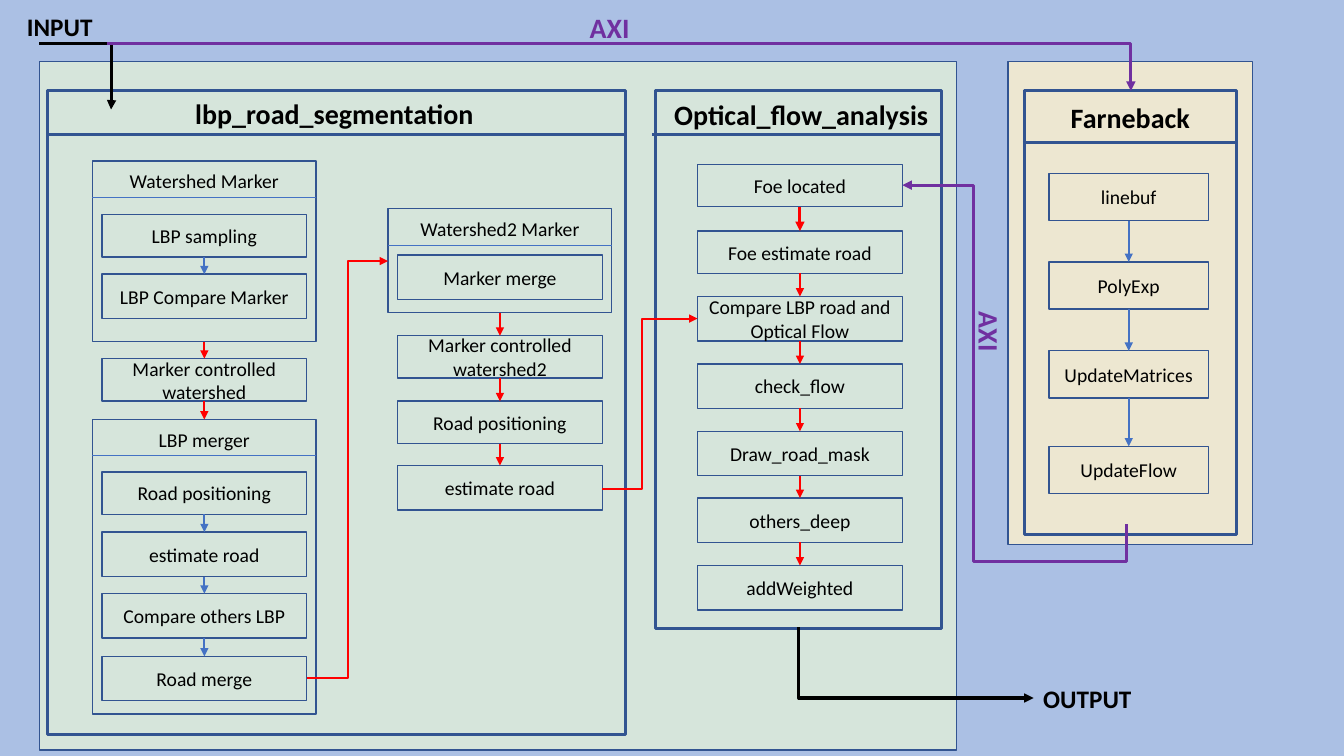
from dataclasses import dataclass
from lxml.etree import SubElement
from pptx import Presentation
from pptx.dml.color import RGBColor
from pptx.enum.shapes import MSO_CONNECTOR as Link, MSO_SHAPE
from pptx.enum.text import MSO_ANCHOR, MSO_AUTO_SIZE, PP_ALIGN
from pptx.oxml.ns import qn
from pptx.util import Cm, Pt


@dataclass(frozen=True)
class Theme:
    font: str = "Calibri"
    sky: str = "ABC0E4"
    green: str = "E2F0D9"
    cream: str = "FFF2CC"
    navy: str = "325491"
    blue: str = "4472C4"
    red: str = "FF0000"
    purple: str = "7030A0"
    black: str = "000000"
    heading: int = 20
    port: int = 18
    body: int = 14
    thick: float = 2.25
    medium: float = 1.5
    thin: float = 1
    hair: float = 0.5


T = Theme()

# All lengths are in centimetres; boxes are left, top, width, height.
PANELS = [((25.4, 1.55, 6.17, 12.17), T.cream), ((0.99, 1.55, 23.11, 17.35), T.green)]

# title, frame, title box, divider start x, divider y, alignment
MODULES = [
    ("lbp_road_segmentation", (1.19, 2.29, 14.58, 16.23), (4.67, 2.31, 9.19, 1.12),
     1.19, 3.4, PP_ALIGN.LEFT),
    ("Optical_flow_analysis", (16.51, 2.29, 7.21, 13.54), (16.74, 2.34, 7.21, 1.12),
     16.43, 3.4, PP_ALIGN.LEFT),
    ("Farneback", (25.83, 2.29, 5.33, 11.18), (26.49, 2.41, 3.99, 1.12),
     25.78, 3.58, PP_ALIGN.CENTER),
]

# Each step is text, top, height, and the steps nested inside it.
SEGMENTATION = [
    ("Watershed Marker", 4.06, 4.55, [
        ("LBP sampling", 5.41, 1.07, []),
        ("LBP Compare Marker", 6.91, 1.12, []),
    ]),
    ("Marker controlled watershed", 9.04, 1.07, []),
    ("LBP merger", 10.57, 7.42, [
        ("Road positioning", 11.89, 1.07, []),
        ("estimate road", 13.41, 1.12, []),
        ("Compare others LBP", 14.96, 1.12, []),
        ("Road merge", 16.54, 1.12, []),
    ]),
]
SEGMENTATION_2 = [
    ("Watershed2 Marker", 5.26, 2.62, [("Marker merge", 6.43, 1.12, [])]),
    ("Marker controlled watershed2", 8.46, 1.07, []),
    ("Road positioning", 10.11, 1.07, []),
    ("estimate road", 11.73, 1.12, []),
]
OPTICAL_FLOW = [
    ("Foe located", 4.14, 1.07, []),
    ("Foe estimate road", 5.82, 1.07, []),
    ("Compare LBP road and Optical Flow", 7.47, 1.12, []),
    ("check_flow", 9.17, 1.12, []),
    ("Draw_road_mask", 10.87, 1.12, []),
    ("others_deep", 12.55, 1.12, []),
    ("addWeighted", 14.25, 1.12, []),
]
FARNEBACK = [
    ("linebuf", 4.37, 1.19, []),
    ("PolyExp", 6.6, 1.19, []),
    ("UpdateMatrices", 8.84, 1.19, []),
    ("UpdateFlow", 11.25, 1.19, []),
]
# left, width, arrow colour, steps
FLOWS = [
    (2.57, 5.16, T.red, SEGMENTATION),
    (10.02, 5.16, T.red, SEGMENTATION_2),
    (17.58, 5.16, T.red, OPTICAL_FLOW),
    (26.44, 4.01, T.blue, FARNEBACK),
]

# preset, begin, end (both before rotation), rotation, adjustments, colour, weight
ELBOWS = [
    ("bentConnector3", (7.75, 17.09), (9.78, 6.58), 0, [50], T.red, T.medium),
    ("bentConnector3", (15.18, 12.32), (17.58, 8.03), 0, [42], T.red, T.medium),
    ("bentConnector3", (0.99, 1.09), (2.8, 2.76), 0, [100.7], T.black, T.thick),
    ("bentConnector4", (29.84, 6.12), (21.29, 11.76), 90, [-11, 68.2], T.purple, T.thick),
    ("bentConnector2", (2.69, 1.09), (28.5, 2.29), 0, [], T.purple, T.thick),
    ("bentConnector2", (23.98, 13.74), (22.2, 19.66), 270, [], T.black, T.thick),
]

# text, box, size, colour, rotation
LABELS = [
    ("INPUT", (0.43, 0.15, 2.41, 1.02), T.port, T.black, 0),
    ("OUTPUT", (26.04, 17.09, 2.92, 1.02), T.port, T.black, 0),
    ("AXI", (14.61, 0.13, 1.8, 1.12), T.heading, T.purple, 0),
    ("AXI", (24.03, 7.95, 1.8, 1.12), T.heading, T.purple, 90),
]


def rgb(color):
    return RGBColor.from_string(color)


def write(tf, text, size=T.body, color=T.black, bold=False, align=PP_ALIGN.CENTER):
    tf.word_wrap = True
    p = tf.paragraphs[0]
    p.alignment = align
    r = p.add_run()
    r.text = text
    r.font.name, r.font.size, r.font.bold = T.font, Pt(size), bold
    r.font.color.rgb = rgb(color)


def add_label(shapes, box, text, rotation=0, **style):
    sp = shapes.add_textbox(*map(Cm, box))
    write(sp.text_frame, text, **style)
    sp.text_frame.auto_size = MSO_AUTO_SIZE.SHAPE_TO_FIT_TEXT
    sp.rotation = rotation


def add_box(shapes, box, text="", weight=T.thin, fill=None):
    """Outlined rectangle; a fill colour is drawn at 79% opacity."""
    sp = shapes.add_shape(MSO_SHAPE.RECTANGLE, *map(Cm, box))
    sp.shadow.inherit = False
    sp.line.color.rgb, sp.line.width = rgb(T.navy), Pt(weight)
    if fill:
        sp.fill.solid()
        sp.fill.fore_color.rgb = rgb(fill)
        tint = sp.fill._xPr.find(".//" + qn("a:srgbClr"))
        SubElement(tint, qn("a:alpha"), val="79000")
    else:
        sp.fill.background()
    if text:
        sp.text_frame.vertical_anchor = MSO_ANCHOR.MIDDLE
        write(sp.text_frame, text)
    return sp


def add_line(shapes, begin, end, color, weight, kind=Link.STRAIGHT, arrow=True):
    c = shapes.add_connector(kind, *map(Cm, begin + end))
    c.line.color.rgb, c.line.width = rgb(color), Pt(weight)
    if arrow:
        SubElement(c.line._get_or_add_ln(), qn("a:tailEnd"), type="triangle")
    SubElement(c._element.spPr, qn("a:effectLst"))
    return c


def add_elbow(shapes, preset, begin, end, rotation, adjustments, color, weight):
    c = add_line(shapes, begin, end, color, weight, Link.ELBOW)
    spPr = c._element.spPr
    if rotation:
        spPr.find(qn("a:xfrm")).set("rot", str(rotation * 60000))
    geom = spPr.find(qn("a:prstGeom"))
    geom.set("prst", preset)
    for i, percent in enumerate(adjustments, 1):
        SubElement(geom.find(qn("a:avLst")), qn("a:gd"), name=f"adj{i}",
                   fmla=f"val {round(percent * 1000)}")


def add_flow(shapes, left, width, color, steps):
    """Stack the steps, joined by arrows; a step with inner steps is a titled frame."""
    margin, title_drop, rule_drop = 0.24, 0.08, 0.91
    arrows, previous = [], None
    for text, top, height, inner in steps:
        if inner:
            x, w = left - margin, width + 2 * margin
            sp = add_box(shapes, (x, top, w, height))
            add_label(shapes, (x, top + title_drop, w, 0.71), text)
            rule = top + rule_drop
            add_line(shapes, (x, rule), (x + w, rule), T.blue, T.hair, arrow=False)
            add_flow(shapes, left, width, T.blue, inner)
        else:
            sp = add_box(shapes, (left, top, width, height), text)
        if previous:
            c = add_line(shapes, (left, top), (left, top), color, T.medium)
            c.begin_connect(previous, 2)
            c.end_connect(sp, 0)
            arrows.append(c)
        previous = sp
    return arrows


def main():
    prs = Presentation()
    prs.slide_width, prs.slide_height = Cm(33.87), Cm(19.05)
    s = prs.slides.add_slide(prs.slide_layouts[6])
    s.background.fill.solid()
    s.background.fill.fore_color.rgb = rgb(T.sky)
    shapes = s.shapes

    for box, fill in PANELS:
        add_box(shapes, box, fill=fill)
    for title, frame, title_box, x, y, align in MODULES:
        add_box(shapes, frame, weight=T.thick)
        add_label(shapes, title_box, title, size=T.heading, bold=True, align=align)
        add_line(shapes, (x, y), (frame[0] + frame[2], y), T.navy, T.thick, arrow=False)
    for flow in FLOWS:
        arrows = add_flow(shapes, *flow)
        if flow[-1] is OPTICAL_FLOW:
            arrows[0].line.width = Pt(T.thick)
    for elbow in ELBOWS:
        add_elbow(shapes, *elbow)
    for text, box, size, color, rotation in LABELS:
        add_label(shapes, box, text, rotation, size=size, color=color, bold=True,
                  align=PP_ALIGN.LEFT)
    prs.save("out.pptx")


if __name__ == "__main__":
    main()
